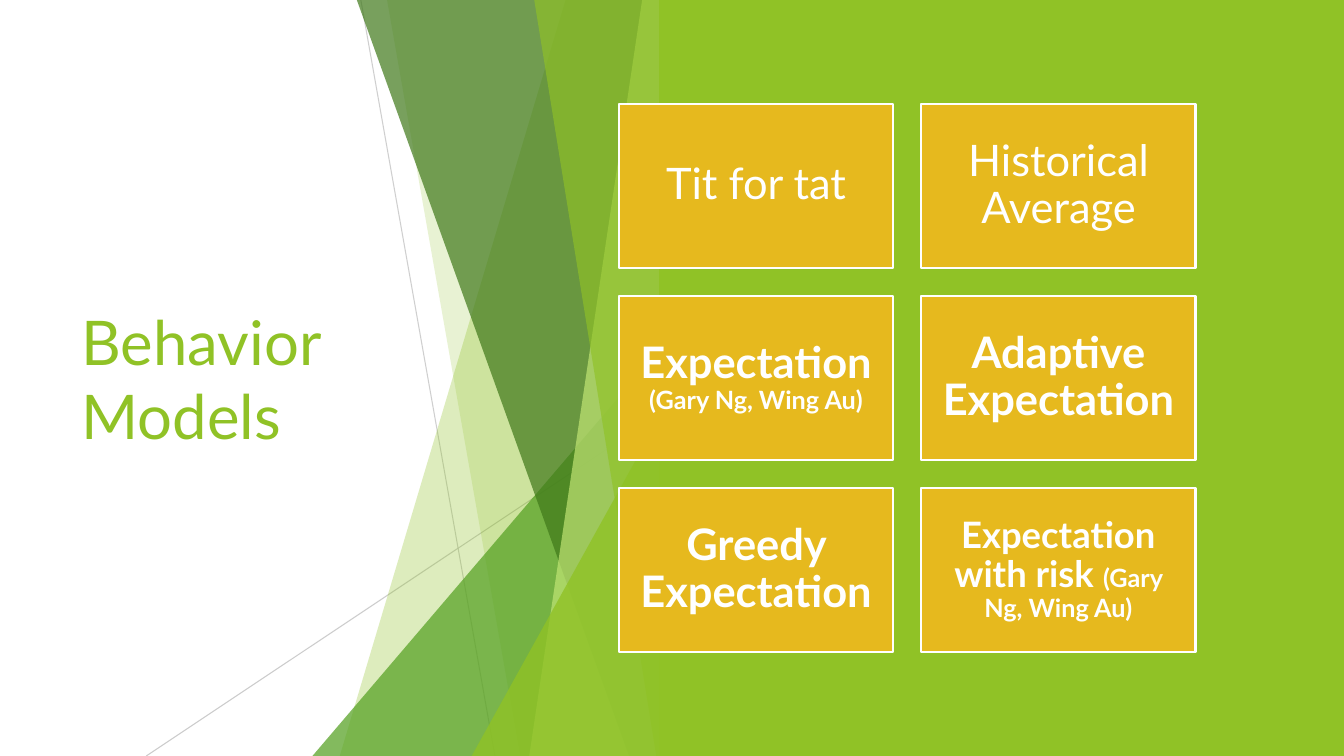
from itertools import product

from lxml.etree import SubElement
from pptx import Presentation
from pptx.dml.color import RGBColor
from pptx.enum.shapes import MSO_CONNECTOR, MSO_SHAPE
from pptx.enum.text import MSO_ANCHOR, PP_ALIGN
from pptx.oxml.ns import qn
from pptx.util import Inches, Pt

GREEN, LEAF, FOREST, LIME = "90C226", "54A021", "3F7819", "C0E474"
GOLD, WHITE, GREY = "E6B91E", "FFFFFF", "BFBFBF"
FACET_EDGE = 49.95


def colour(hex_string):
    return RGBColor.from_string(hex_string)


class FacetSlide:
    font = "Lato"

    def __init__(self, deck):
        self.width, self.height = deck.slide_width, deck.slide_height
        self.slide = deck.slides.add_slide(deck.slide_layouts[6])
        self.shapes = self.slide.shapes

    def x(self, percent):
        return round(self.width * percent / 100)

    def y(self, percent):
        return round(self.height * percent / 100)

    def box(self, left, top, width, height):
        return self.x(left), self.y(top), self.x(width), self.y(height)

    def fade(self, properties, opacity):
        solid = properties.find(qn("a:solidFill"))
        SubElement(solid[0], qn("a:alpha"), val=str(opacity * 1000))

    def paint(self, shape, fill, opacity=100):
        shape.shadow.inherit = False
        shape.fill.solid()
        shape.fill.fore_color.rgb = colour(fill)
        shape.line.fill.background()
        if opacity < 100:
            self.fade(shape._element.spPr, opacity)
        return shape

    def hairline(self, start, end, opacity):
        line = self.shapes.add_connector(
            MSO_CONNECTOR.STRAIGHT,
            self.x(start[0]), self.y(start[1]), self.x(end[0]), self.y(end[1]))
        line.line.width = Pt(0.75)
        line.line.color.rgb = colour(GREY)
        properties = line._element.spPr
        self.fade(properties.find(qn("a:ln")), opacity)
        SubElement(properties, qn("a:effectLst"))

    def band(self, top_left, bottom_left, fill, opacity):
        edge = self.x(FACET_EDGE)
        outline = self.shapes.build_freeform(self.x(top_left), 0)
        outline.add_line_segments([
            (edge, 0), (edge, self.height), (self.x(bottom_left), self.height)])
        self.paint(outline.convert_to_shape(), fill, opacity)

    def wedge(self, left, top, fill, opacity):
        wedge = self.shapes.add_shape(
            MSO_SHAPE.ISOSCELES_TRIANGLE,
            *self.box(left, top, FACET_EDGE - left, 100 - top))
        wedge.adjustments[0] = 1
        self.paint(wedge, fill, opacity)

    def panel(self, left, top, width, height, fill):
        return self.paint(self.shapes.add_shape(
            MSO_SHAPE.RECTANGLE, *self.box(left, top, width, height)), fill)

    def add_words(self, paragraph, words, size, ink, bold=False):
        run = paragraph.add_run()
        run.text = words
        run.font.name, run.font.size, run.font.bold = self.font, Pt(size), bold
        run.font.color.rgb = colour(ink)

    def title(self, lines, left, top, width, height):
        frame = self.shapes.add_textbox(
            *self.box(left, top, width, height)).text_frame
        frame.word_wrap = True
        frame.vertical_anchor = MSO_ANCHOR.MIDDLE
        paragraph = frame.paragraphs[0]
        for number, line in enumerate(lines):
            if number:
                paragraph.add_line_break()
            self.add_words(paragraph, line, 44, GREEN)

    def card(self, column, row, model, authors="", size=31, bold=True):
        card = self.panel(46.05 + 22.5 * column, 13.7 + 25.4 * row, 20.4, 21.75, GOLD)
        card.line.color.rgb = colour(WHITE)
        card.line.width = Pt(1.5)
        frame = card.text_frame
        frame.word_wrap = True
        frame.vertical_anchor = MSO_ANCHOR.MIDDLE
        inset = round(Pt(size) * 0.3)
        frame.margin_left = frame.margin_right = inset
        frame.margin_top = frame.margin_bottom = inset
        paragraph = frame.paragraphs[0]
        paragraph.alignment = PP_ALIGN.CENTER
        paragraph.line_spacing = 0.9
        self.add_words(paragraph, model, size, WHITE, bold)
        if authors:
            self.add_words(paragraph, authors, 18, WHITE, bold)


def main():
    deck = Presentation()
    deck.slide_width, deck.slide_height = Inches(13.33), Inches(7.5)
    page = FacetSlide(deck)

    page.hairline((26.85, 0), (36.83, 100), 75)
    page.hairline((FACET_EDGE, 53.73), (10.88, 100), 80)
    page.band(42.08, 25.28, GREEN, 30)
    page.band(28.8, 38.7, GREEN, 20)
    page.wedge(23.25, 44.4, LEAF, 72)
    page.band(26.55, 46.8, FOREST, 70)
    page.band(47.78, 39.38, LIME, 70)
    page.band(39.75, 48.83, GREEN, 65)
    page.wedge(35.1, 52.4, GREEN, 80)
    page.panel(49.05, 0, 50.95, 100, GREEN)

    page.title(["Behavior", "Models"], 5.33, 20.13, 29.1, 59.73)

    authors = "(Gary Ng, Wing Au)"
    models = [
        {"model": "Tit for tat", "bold": False},
        {"model": "Historical Average", "bold": False},
        {"model": "Expectation ", "authors": authors},
        {"model": "Adaptive Expectation"},
        {"model": "Greedy Expectation"},
        {"model": "Expectation with risk ", "authors": authors, "size": 26},
    ]
    for (row, column), model in zip(product(range(3), range(2)), models):
        page.card(column, row, **model)

    deck.save("out.pptx")


if __name__ == "__main__":
    main()
